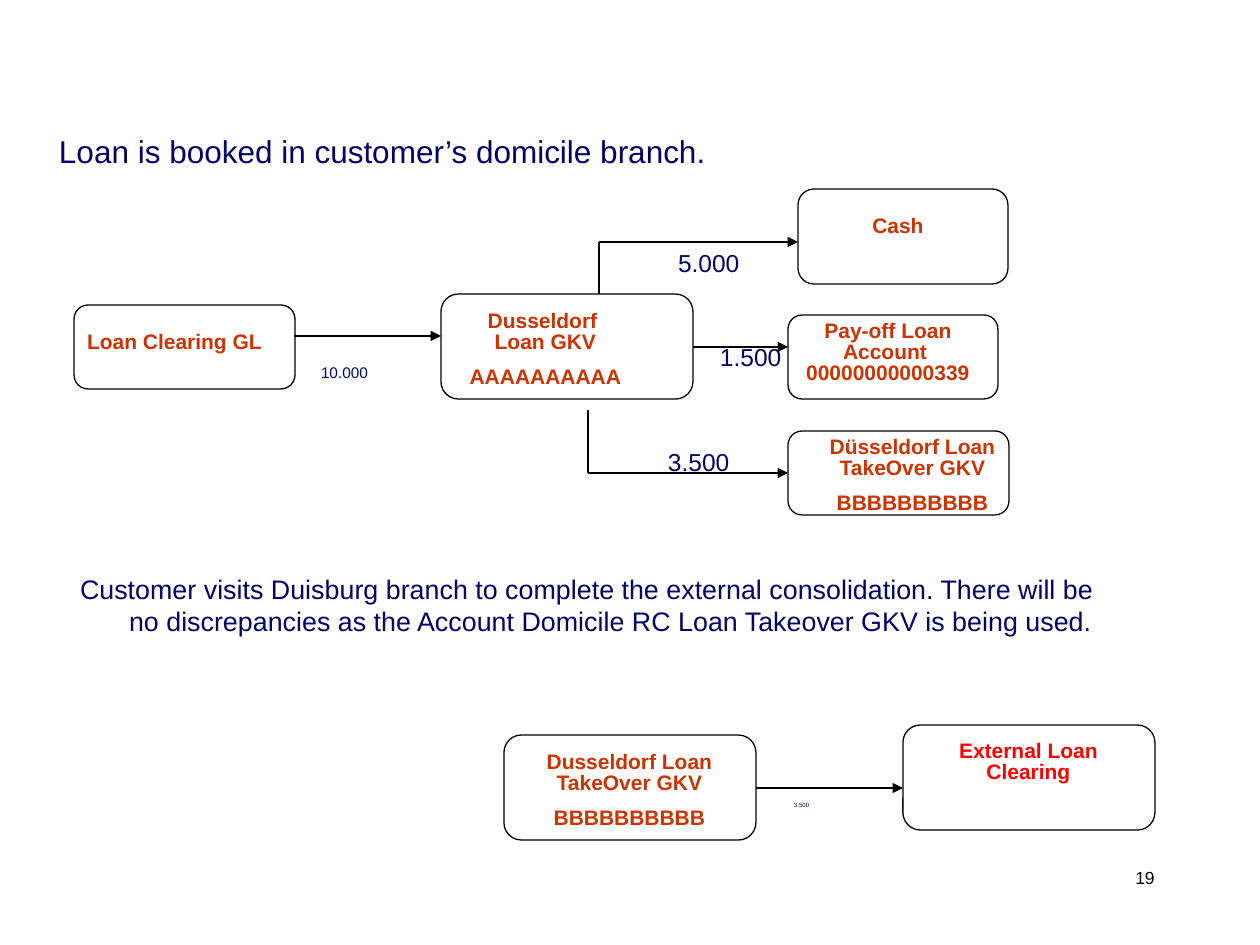
from lxml import etree
from pptx import Presentation
from pptx.dml.color import RGBColor
from pptx.enum.shapes import MSO_CONNECTOR, MSO_SHAPE
from pptx.enum.text import PP_ALIGN
from pptx.oxml.ns import qn
from pptx.util import Emu, Pt

PX_PER_INCH = 126
EMU_PER_PX = 914400 / PX_PER_INCH
HANGING = 49

BLACK = RGBColor(0x00, 0x00, 0x00)
NAVY = RGBColor(0x00, 0x00, 0x66)
RUST = RGBColor(0xCC, 0x33, 0x00)
RED = RGBColor(0xFF, 0x00, 0x00)

CAPTION = {"size": Pt(12), "bold": True}
CAPTION_SPACING = {"line_spacing": 0.85, "space_before": Pt(7.5)}

# box, caption position and width, caption paragraphs, caption colour
ACCOUNTS = [
    ((74, 305, 221, 84), (74, 326, 210, 36), ["Loan Clearing GL"], RUST),
    ((441, 294, 252, 105), (431, 305, 229, 91),
     ["Dusseldorf \vLoan GKV", "AAAAAAAAAA"], RUST),
    ((798, 189, 210, 95), (830, 210, 136, 36), ["Cash"], RUST),
    ((788, 315, 210, 84), (788, 315, 200, 78),
     ["Pay-off Loan Account \v00000000000339"], RUST),
    ((788, 431, 221, 84), (798, 431, 229, 91),
     ["Düsseldorf Loan TakeOver GKV", "BBBBBBBBBB"], RUST),
    ((504, 735, 252, 105), (515, 746, 229, 91),
     ["Dusseldorf Loan TakeOver GKV", "BBBBBBBBBB"], RUST),
    ((903, 725, 252, 105), (914, 735, 229, 57), ["External Loan Clearing"], RED),
]

# start, end, has arrowhead
FLOWS = [
    ((294, 336), (441, 336), True),
    ((693, 347), (788, 347), True),
    ((599, 242), (599, 294), False),
    ((599, 242), (798, 242), True),
    ((588, 410), (588, 473), False),
    ((588, 473), (788, 473), True),
    ((756, 788), (903, 788), True),
]

# position, text, size, space before
NOTES = [
    ((53, 126, 1040, 116), "Loan is booked in customer’s domicile branch.", 18, 11.2),
    ((74, 567, 1040, 116),
     "Customer visits Duisburg branch to complete the external consolidation. "
     "There will be no discrepancies as the Account Domicile RC Loan Takeover "
     "GKV is being used.", 15.3, 11.2),
    ((315, 357, 95, 32), "10.000", 8.8, 8.8),
    ((672, 242, 95, 53), "5.000", 14, 8.8),
    ((714, 336, 95, 42), "1.500", 14, 8.8),
    ((662, 441, 95, 42), "3.500", 14, 8.8),
    ((788, 798, 95, 53), "3.500", 3.5, 8.8),
]


def px(value):
    return Emu(round(value * EMU_PER_PX))


def apply(target, values):
    for name, value in values.items():
        setattr(target, name, value)


def add_text(slide, place, lines, color, font, spacing, side_inset=13):
    """Add a wrapping text box and return its paragraphs."""
    frame = slide.shapes.add_textbox(*map(px, place)).text_frame
    apply(frame, {
        "word_wrap": True,
        "margin_left": px(side_inset), "margin_right": px(side_inset),
        "margin_top": px(6), "margin_bottom": px(6),
    })
    frame.text = "\n".join(lines)
    for paragraph in frame.paragraphs:
        apply(paragraph, spacing)
        for run in paragraph.runs:
            apply(run.font, {"name": "Arial", **font})
            run.font.color.rgb = color
    return frame.paragraphs


def add_account(slide, box, caption_place, lines, color):
    shape = slide.shapes.add_shape(MSO_SHAPE.ROUNDED_RECTANGLE, *map(px, box))
    shape.shadow.inherit = False
    shape.fill.background()
    shape.line.color.rgb = BLACK
    shape.line.width = Pt(0.75)
    centred = lines != ["Loan Clearing GL"]
    alignment = PP_ALIGN.CENTER if centred else PP_ALIGN.LEFT
    add_text(slide, caption_place, lines, color, CAPTION,
             {"alignment": alignment, **CAPTION_SPACING})


def add_flow(slide, start, end, has_arrow):
    connector = slide.shapes.add_connector(
        MSO_CONNECTOR.STRAIGHT, *map(px, start + end))
    connector.line.color.rgb = BLACK
    connector.line.width = Pt(0.75)
    properties = connector._element.spPr
    if has_arrow:
        etree.SubElement(properties.find(qn("a:ln")), qn("a:tailEnd"), type="triangle")
    etree.SubElement(properties, qn("a:effectLst"))


def add_note(slide, place, text, size, space_before):
    """Add navy text with a hanging indent."""
    paragraphs = add_text(slide, place, [text], NAVY, {"size": Pt(size)},
                          {"space_before": Pt(space_before)}, side_inset=6)
    for paragraph in paragraphs:
        properties = paragraph._p.get_or_add_pPr()
        properties.set("marL", str(px(HANGING)))
        properties.set("indent", str(px(-HANGING)))


def main():
    presentation = Presentation()
    presentation.slide_width = px(1260)
    presentation.slide_height = px(945)
    slide = presentation.slides.add_slide(presentation.slide_layouts[6])
    for account in ACCOUNTS:
        add_account(slide, *account)
    for flow in FLOWS:
        add_flow(slide, *flow)
    for note in NOTES:
        add_note(slide, *note)
    add_text(slide, (1061, 861, 168, 34), ["19"], BLACK, {"size": Pt(10)},
             {"alignment": PP_ALIGN.CENTER, "space_before": Pt(6.2)})
    presentation.save("out.pptx")


if __name__ == "__main__":
    main()
